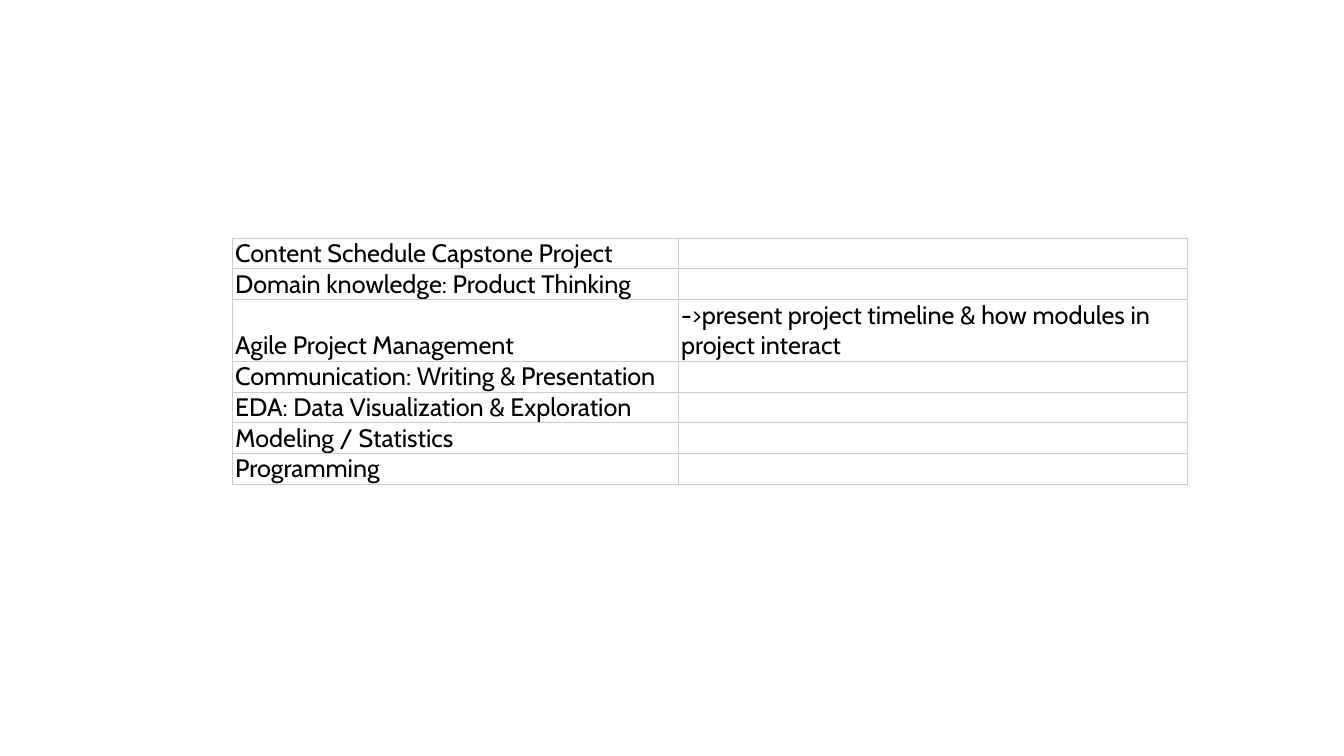
from pptx import Presentation
from pptx.dml.color import RGBColor
from pptx.enum.text import MSO_ANCHOR
from pptx.oxml import parse_xml
from pptx.oxml.ns import nsdecls
from pptx.util import Pt

BLACK = RGBColor(0, 0, 0)
GREY = RGBColor(0xCC, 0xCC, 0xCC)
FONT = "Cabin"
SIZE = 18
LINE = 22  # height of one text line
PAD = 2
SHARES = (0.467, 0.533)
TOPICS = [
    ("Content Schedule Capstone Project", ""),
    ("Domain knowledge: Product Thinking", ""),
    ("Agile Project Management",
     "->present project timeline & how modules in project interact"),
    ("Communication: Writing & Presentation", ""),
    ("EDA: Data Visualization & Exploration", ""),
    ("Modeling / Statistics", ""),
    ("Programming", ""),
]


def add_edges(cell):
    """Draw a thin grey line on all four sides of the cell."""
    props = cell._tc.get_or_add_tcPr()
    for i, side in enumerate(("lnL", "lnR", "lnT", "lnB")):
        props.insert(i, parse_xml(
            f'<a:{side} {nsdecls("a")} w="{Pt(0.6)}"><a:solidFill>'
            f'<a:srgbClr val="{GREY}"/></a:solidFill></a:{side}>'))


def fill_cell(cell, text):
    cell.fill.background()
    add_edges(cell)
    cell.margin_left = cell.margin_right = Pt(PAD)
    cell.margin_top = cell.margin_bottom = 0
    cell.vertical_anchor = MSO_ANCHOR.BOTTOM
    cell.text_frame.text = text
    for run in cell.text_frame.paragraphs[0].runs:
        run.font.name = FONT
        run.font.size = Pt(SIZE)
        run.font.color.rgb = BLACK


def add_plan(slide, left, top, width):
    """Place the topic table; a row with a note is two lines high."""
    lines = [2 if note else 1 for _, note in TOPICS]
    frame = slide.shapes.add_table(len(TOPICS), len(SHARES), Pt(left), Pt(top),
                                   Pt(width), Pt(LINE * sum(lines)))
    table = frame.table
    table.first_row = table.horz_banding = False
    for col, share in zip(table.columns, SHARES):
        col.width = Pt(width * share)
    for row, count, texts in zip(table.rows, lines, TOPICS):
        row.height = Pt(LINE * count)
        for cell, text in zip(row.cells, texts):
            fill_cell(cell, text)


def main():
    deck = Presentation()
    deck.slide_width, deck.slide_height = Pt(960), Pt(540)
    slide = deck.slides.add_slide(deck.slide_layouts[6])
    add_plan(slide, left=166, top=170, width=682)
    deck.save("out.pptx")


if __name__ == "__main__":
    main()
